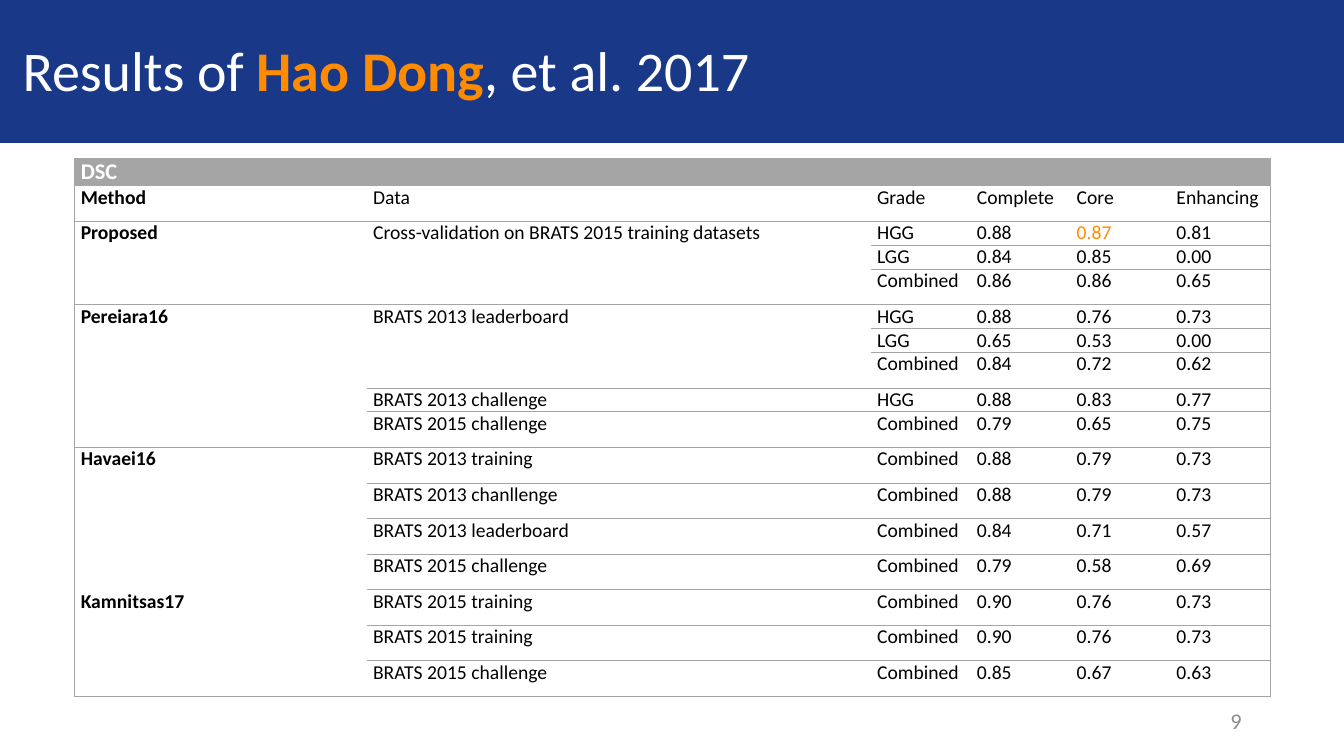
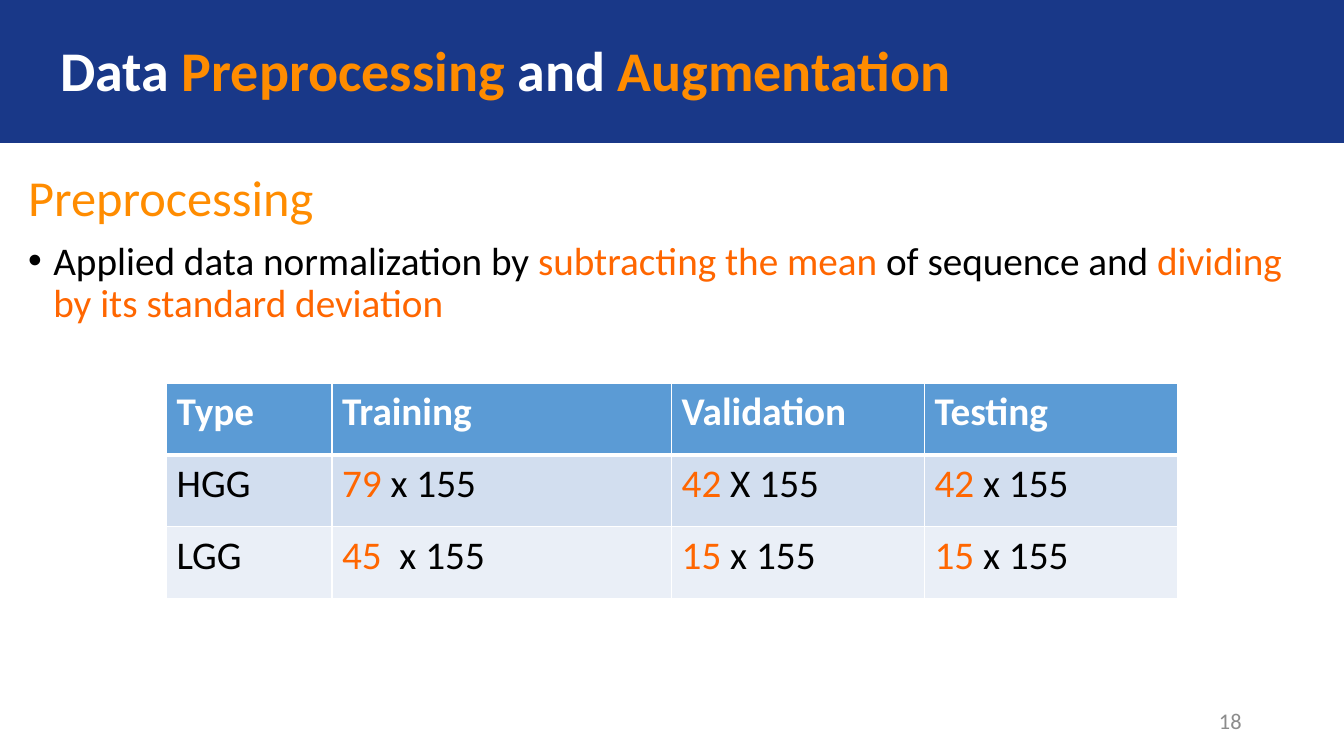
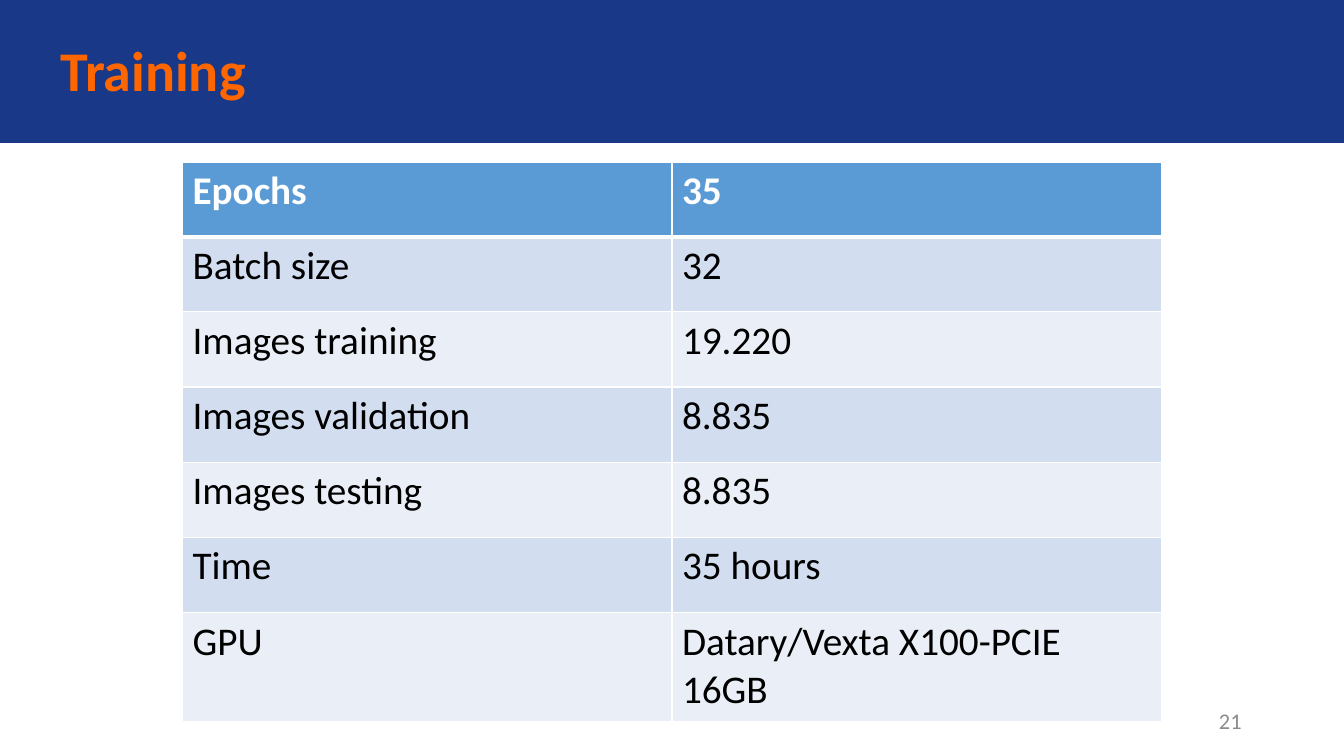
from lxml.etree import SubElement
from pptx import Presentation
from pptx.dml.color import RGBColor
from pptx.enum.shapes import MSO_SHAPE as Shape
from pptx.enum.text import MSO_ANCHOR as Anchor, MSO_AUTO_SIZE as AutoSize, PP_ALIGN as Align
from pptx.oxml import parse_xml
from pptx.oxml.ns import nsdecls, qn
from pptx.util import Pt

NAVY = RGBColor(0x19, 0x38, 0x88)
AMBER = RGBColor(0xFF, 0x8C, 0x00)
ORANGE = RGBColor(0xFF, 0x66, 0x00)
WHITE = RGBColor(0xFF, 0xFF, 0xFF)
BLACK = RGBColor(0x00, 0x00, 0x00)
GREY = RGBColor(0xA5, 0xA5, 0xA5)
FOOTER_GREY = RGBColor(0x8C, 0x8C, 0x8C)
HEADER_BLUE = RGBColor(0x5B, 0x9B, 0xD5)
ROW_BLUES = (RGBColor(0xD2, 0xDE, 0xEF), RGBColor(0xEA, 0xEF, 0xF7))

FONT = "Calibri"
SLIDE_WIDTH, SLIDE_HEIGHT = 960, 540
BAND_HEIGHT, TITLE_HEIGHT = 101.5, 104.4
TITLE_ONLY = 5

SCORE_COLUMNS = (208.8, 360, 71.3, 71.3, 71.3, 71.3)
CAPTION_ROW, TIGHT_ROW, TALL_ROW = 19.5, 17.1, 25.4
TIGHT_ROWS = (2, 3, 5, 6, 8)
# An empty method or data cell continues the one above it.
SCORES = [
    ("DSC", "", "", "", "", ""),
    ("Method", "Data", "Grade", "Complete", "Core", "Enhancing"),
    ("Proposed", "Cross-validation on BRATS 2015 training datasets", "HGG", "0.88", "0.87", "0.81"),
    ("", "", "LGG", "0.84", "0.85", "0.00"),
    ("", "", "Combined", "0.86", "0.86", "0.65"),
    ("Pereiara16", "BRATS 2013 leaderboard", "HGG", "0.88", "0.76", "0.73"),
    ("", "", "LGG", "0.65", "0.53", "0.00"),
    ("", "", "Combined", "0.84", "0.72", "0.62"),
    ("", "BRATS 2013 challenge", "HGG", "0.88", "0.83", "0.77"),
    ("", "BRATS 2015 challenge", "Combined", "0.79", "0.65", "0.75"),
    ("Havaei16", "BRATS 2013 training", "Combined", "0.88", "0.79", "0.73"),
    ("", "BRATS 2013 chanllenge", "Combined", "0.88", "0.79", "0.73"),
    ("", "BRATS 2013 leaderboard", "Combined", "0.84", "0.71", "0.57"),
    ("", "BRATS 2015 challenge", "Combined", "0.79", "0.58", "0.69"),
    ("Kamnitsas17", "BRATS 2015 training", "Combined", "0.90", "0.76", "0.73"),
    ("", "BRATS 2015 training", "Combined", "0.90", "0.76", "0.73"),
    ("", "BRATS 2015 challenge", "Combined", "0.85", "0.67", "0.63"),
]
BEST_SCORE = "0.87"

SPLIT = [
    ("Type", "Training", "Validation", "Testing"),
    ("HGG", ("79", " x 155"), ("42", " X 155"), ("42", " x 155")),
    ("LGG", ("45", "  x 155"), ("15", " x 155"), ("15", " x 155")),
]

TRAINING = [
    ("Epochs", "35"),
    ("Batch size", "32"),
    ("Images training", "19.220"),
    ("Images validation", "8.835"),
    ("Images testing", "8.835"),
    ("Time", "35 hours"),
    ("GPU", "Datary/Vexta X100-PCIE 16GB"),
]


def write(paragraph, runs, size):
    """Fill a paragraph with (text, colour, bold) runs."""
    paragraph.font.name = FONT
    paragraph.font.size = Pt(size)
    for text, colour, bold in runs:
        run = paragraph.add_run()
        run.text = text
        run.font.color.rgb = colour
        run.font.bold = bold


def indent(paragraph, left, first=0):
    properties = paragraph._p.get_or_add_pPr()
    properties.set("marL", str(Pt(left)))
    properties.set("indent", str(Pt(first)))
    return properties


def place(shape, box):
    shape.left, shape.top, shape.width, shape.height = map(Pt, box)


def add_text_frame(slide, box):
    frame = slide.shapes.add_textbox(*map(Pt, box)).text_frame
    frame.word_wrap = True
    return frame


def add_titled_slide(deck, title_runs, number, title_indent=36):
    slide = deck.slides.add_slide(deck.slide_layouts[TITLE_ONLY])
    band = slide.shapes.add_shape(Shape.RECTANGLE, 0, 0, Pt(SLIDE_WIDTH), Pt(BAND_HEIGHT))
    band.shadow.inherit = False
    band.fill.solid()
    band.fill.fore_color.rgb = NAVY
    band.line.color.rgb = NAVY
    band.line.width = Pt(1)

    title = slide.shapes.title
    band._element.addnext(title._element)
    place(title, (0, 0, SLIDE_WIDTH, TITLE_HEIGHT))
    frame = title.text_frame
    frame.auto_size = AutoSize.NONE
    frame.vertical_anchor = Anchor.MIDDLE
    heading = frame.paragraphs[0]
    heading.alignment = Align.LEFT
    heading.line_spacing = 0.9
    indent(heading, title_indent)
    write(heading, title_runs, 40)

    footer = add_text_frame(slide, (678, 500.5, 216, 28.8))
    footer.vertical_anchor = Anchor.MIDDLE
    footer.paragraphs[0].alignment = Align.RIGHT
    write(footer.paragraphs[0], [(str(number), FOOTER_GREY, False)], 16)
    return slide


def set_borders(cell, **edges):
    """Set the edges L, R, T and B to (colour, width), or to None for no line."""
    properties = cell._tc.get_or_add_tcPr()
    for index, side in enumerate("LRTB"):
        line = parse_xml(f"<a:ln{side} {nsdecls('a')}/>")
        if edges[side]:
            colour, width = edges[side]
            line.set("w", str(Pt(width)))
            SubElement(SubElement(line, qn("a:solidFill")), qn("a:srgbClr")).set("val", str(colour))
        else:
            SubElement(line, qn("a:noFill"))
        properties.insert(index, line)


def fill_cell(cell, colour):
    if colour is None:
        cell.fill.background()
    else:
        cell.fill.solid()
        cell.fill.fore_color.rgb = colour


def add_grid(slide, left, top, widths, heights):
    table = slide.shapes.add_table(len(heights), len(widths), Pt(left), Pt(top),
                                   Pt(sum(widths)), Pt(sum(heights))).table
    for column, width in zip(table.columns, widths):
        column.width = Pt(width)
    for row, height in zip(table.rows, heights):
        row.height = Pt(height)
    return table


def merge_continued_cells(table, rows):
    last_row, last_column = len(rows) - 1, len(rows[0]) - 1
    table.cell(0, 0).merge(table.cell(0, last_column))
    for column in (0, 1):
        starts = [r for r in range(1, len(rows)) if rows[r][column]]
        for start, following in zip(starts, starts[1:] + [last_row + 1]):
            if following - start > 1:
                table.cell(start, column).merge(table.cell(following - 1, column))


def add_score_table(slide, left, top):
    heights = [CAPTION_ROW] + [TIGHT_ROW if r in TIGHT_ROWS else TALL_ROW
                               for r in range(1, len(SCORES))]
    table = add_grid(slide, left, top, SCORE_COLUMNS, heights)
    merge_continued_cells(table, SCORES)
    rule = (GREY, 0.5)
    for r, texts in enumerate(SCORES):
        for c, text in enumerate(texts):
            cell = table.cell(r, c)
            cell.margin_left = cell.margin_right = Pt(4.3)
            cell.margin_top = cell.margin_bottom = 0
            caption = r == 0
            if not cell.is_spanned:
                reaches_right = caption or c == len(texts) - 1
                set_borders(cell, L=rule if c == 0 else None,
                            R=rule if reaches_right else None,
                            T=None if text == "Kamnitsas17" else rule,
                            B=None if text == "Havaei16" else rule)
            fill_cell(cell, GREY if caption else None)
            colour = WHITE if caption else AMBER if text == BEST_SCORE else BLACK
            runs = [(text, colour, c == 0)] if text else []
            write(cell.text_frame.paragraphs[0], runs, 16 if caption else 14)


def add_banded_table(slide, left, top, widths, heights, rows):
    """Add a table with a blue header; a cell given as a pair has its first part in orange."""
    table = add_grid(slide, left, top, widths, heights)
    thin, thick = (WHITE, 1), (WHITE, 3)
    for r, contents in enumerate(rows):
        header = r == 0
        for c, content in enumerate(contents):
            cell = table.cell(r, c)
            set_borders(cell, L=thin, R=thin, T=thick if r == 1 else thin,
                        B=thick if header else thin)
            fill_cell(cell, HEADER_BLUE if header else ROW_BLUES[(r - 1) % 2])
            if isinstance(content, tuple):
                count, size = content
                runs = [(count, ORANGE, False), (size, BLACK, False)]
            else:
                runs = [(content, WHITE if header else BLACK, header)]
            write(cell.text_frame.paragraphs[0], runs, 28)


def add_preprocessing_text(slide, box):
    frame = add_text_frame(slide, box)
    heading, point = frame.paragraphs[0], frame.add_paragraph()
    for paragraph in (heading, point):
        paragraph.line_spacing = 0.9
        paragraph.space_before = Pt(10)
    properties = indent(point, 18, -18)
    SubElement(properties, qn("a:buFont")).set("typeface", "Arial")
    SubElement(properties, qn("a:buChar")).set("char", "•")
    write(heading, [("Preprocessing", AMBER, False)], 36)
    write(point, [("Applied data normalization by ", BLACK, False),
                  ("subtracting the mean", ORANGE, False),
                  (" of sequence and ", BLACK, False),
                  ("dividing by its standard deviation", ORANGE, False)], 28)


def add_results_slide(deck):
    slide = add_titled_slide(deck, [("Results of ", WHITE, False), ("Hao Dong", AMBER, True),
                                    (", et al. 2017", WHITE, False)], 9, title_indent=9)
    add_score_table(slide, 53.4, 113)


def add_preprocessing_slide(deck):
    slide = add_titled_slide(deck, [("Data ", WHITE, True), ("Preprocessing ", AMBER, True),
                                    ("and ", WHITE, True), ("Augmentation", AMBER, True)], 18)
    add_preprocessing_text(slide, (13, 120.2, 934.6, 399))
    add_banded_table(slide, 119, 273.8, (118.2, 242.6, 180.6, 180.6), [51.3] * 3, SPLIT)


def add_training_slide(deck):
    slide = add_titled_slide(deck, [("Training", ORANGE, True)], 21)
    add_banded_table(slide, 130.4, 116.1, (349.6, 349.6), [53.3] * 2 + [53.8] * 4 + [77.4], TRAINING)


def main():
    deck = Presentation()
    deck.slide_width, deck.slide_height = Pt(SLIDE_WIDTH), Pt(SLIDE_HEIGHT)
    add_results_slide(deck)
    add_preprocessing_slide(deck)
    add_training_slide(deck)
    deck.save("out.pptx")


if __name__ == "__main__":
    main()
